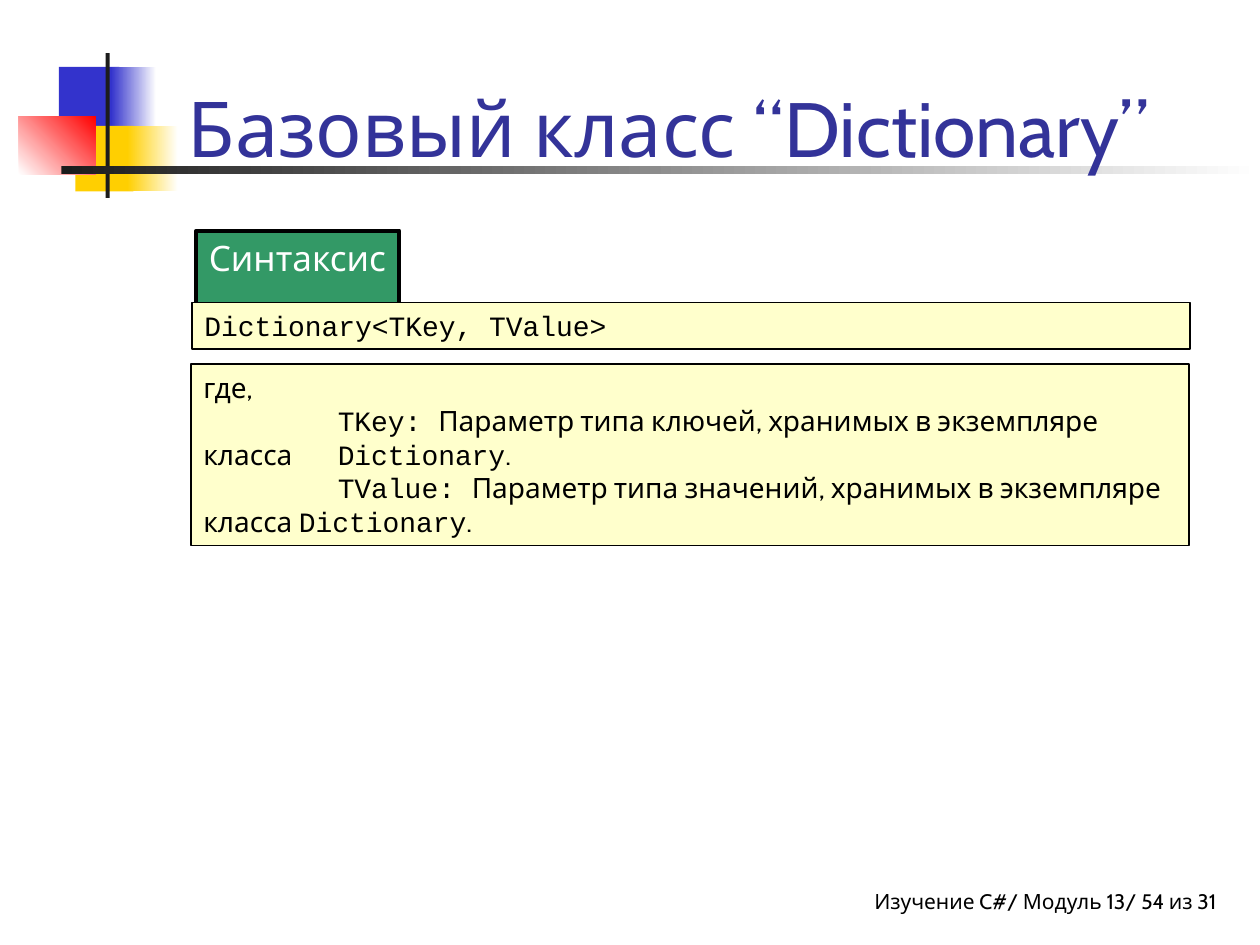
from pptx import Presentation
from pptx.dml.color import RGBColor
from pptx.enum import shapes, text
from pptx.oxml.xmlchemy import OxmlElement
from pptx.util import Cm, Pt

COLORS = {
    "blue": "3333CC", "yellow": "FFCF01", "red": "FF0000", "dark": "1C1C1C",
    "white": "FFFFFF", "black": "000000", "green": "339966",
    "cream": "FFFFCC", "title": "333399",
}
BODY = "Cabin"
CODE = "Courier New"
TAB_STEP = 2.71


def rgb(name):
    return RGBColor.from_string(COLORS[name])


def add_rect(s, box, fill, fade_to=None, angle=0, line_width=None):
    sp = s.shapes.add_shape(shapes.MSO_SHAPE.RECTANGLE, *map(Cm, box))
    sp.shadow.inherit = False
    if fade_to:
        sp.fill.gradient()
        sp.fill.gradient_angle = angle
        for stop, color in zip(sp.fill.gradient_stops, (fill, fade_to)):
            stop.color.rgb = rgb(color)
    else:
        sp.fill.solid()
        sp.fill.fore_color.rgb = rgb(fill)
    if line_width:
        sp.line.color.rgb = rgb("black")
        sp.line.width = Pt(line_width)
    else:
        sp.line.fill.background()
    return sp


def add_tabs(p):
    tabs = OxmlElement("a:tabLst")
    for i in range(8):
        tab = OxmlElement("a:tab")
        tab.set("pos", str(Cm(i * TAB_STEP)))
        tab.set("algn", "l")
        tabs.append(tab)
    p._p.get_or_add_pPr().append(tabs)


def write(sp, paragraphs, size, color, align=text.PP_ALIGN.LEFT,
          anchor=text.MSO_ANCHOR.TOP):
    tf = sp.text_frame
    tf.word_wrap = True
    tf.auto_size = text.MSO_AUTO_SIZE.NONE
    tf.vertical_anchor = anchor
    for i, runs in enumerate(paragraphs):
        p = tf.paragraphs[0] if i == 0 else tf.add_paragraph()
        p.alignment = align
        if any("\t" in content for content, _ in runs):
            add_tabs(p)
        p.font.size = Pt(size)
        p.font.color.rgb = rgb(color)
        fonts = {font for _, font in runs}
        if len(fonts) == 1:
            p.font.name = fonts.pop()
        for content, font in runs:
            r = p.add_run()
            r.text = content
            if len({f for _, f in runs}) > 1:
                r.font.name = font
    return tf


def add_decoration(s):
    add_rect(s, (1.19, 1.35, 1.22, 1.32), "blue")
    add_rect(s, (2.24, 1.35, 0.91, 1.32), "blue", "white")
    add_rect(s, (1.52, 2.54, 1.17, 1.32), "yellow")
    add_rect(s, (2.57, 2.54, 1.02, 1.32), "yellow", "white")
    add_rect(s, (0.38, 2.34, 1.55, 1.17), "white", "red", 45)
    add_rect(s, (2.13, 1.07, 0.08, 2.92), "dark")
    add_rect(s, (1.24, 3.35, 24.16, 0.15), "dark", "white")


def add_title(s, content):
    sp = s.shapes.title
    sp.left, sp.top, sp.width, sp.height = map(Cm, (3.53, 0.43, 21.64, 3.18))
    write(sp, [[(content, BODY)]], 44, "title", anchor=text.MSO_ANCHOR.BOTTOM)
    s.shapes._spTree.append(sp._element)


def add_footer(s, content):
    sp = s.shapes.add_textbox(*map(Cm, (11.63, 17.78, 12.9, 0.84)))
    tf = write(sp, [[(content, BODY)]], 12, "black", text.PP_ALIGN.RIGHT)
    tf.margin_right = 0


def add_panel(s, box, paragraphs):
    write(add_rect(s, box, "cream", line_width=0.75), paragraphs, 16, "black")


def main():
    prs = Presentation()
    prs.slide_width, prs.slide_height = Cm(25.4), Cm(19.05)
    s = prs.slides.add_slide(prs.slide_layouts[5])

    add_footer(s, "Изучение C#/ Модуль 13/ 54 из 31")
    add_decoration(s)
    label = add_rect(s, (3.96, 4.65, 4.09, 1.96), "green", line_width=2.25)
    write(label, [[("Синтаксис", BODY)]], 20, "white")
    add_panel(s, (3.87, 6.1, 20.12, 0.94), [[("Dictionary<TKey, TValue>", CODE)]])
    add_panel(s, (3.85, 7.34, 20.12, 3.66), [
        [("где,", BODY)],
        [("\tTKey: ", CODE),
         ("Параметр типа ключей, хранимых в экземпляре класса \t", BODY),
         ("Dictionary", CODE), (".", BODY)],
        [("\tTValue: ", CODE),
         ("Параметр типа значений, хранимых в экземпляре \tкласса ", BODY),
         ("Dictionary", CODE), (".", BODY)],
    ])
    add_title(s, "Базовый класс “Dictionary”")

    prs.save("out.pptx")


if __name__ == "__main__":
    main()
